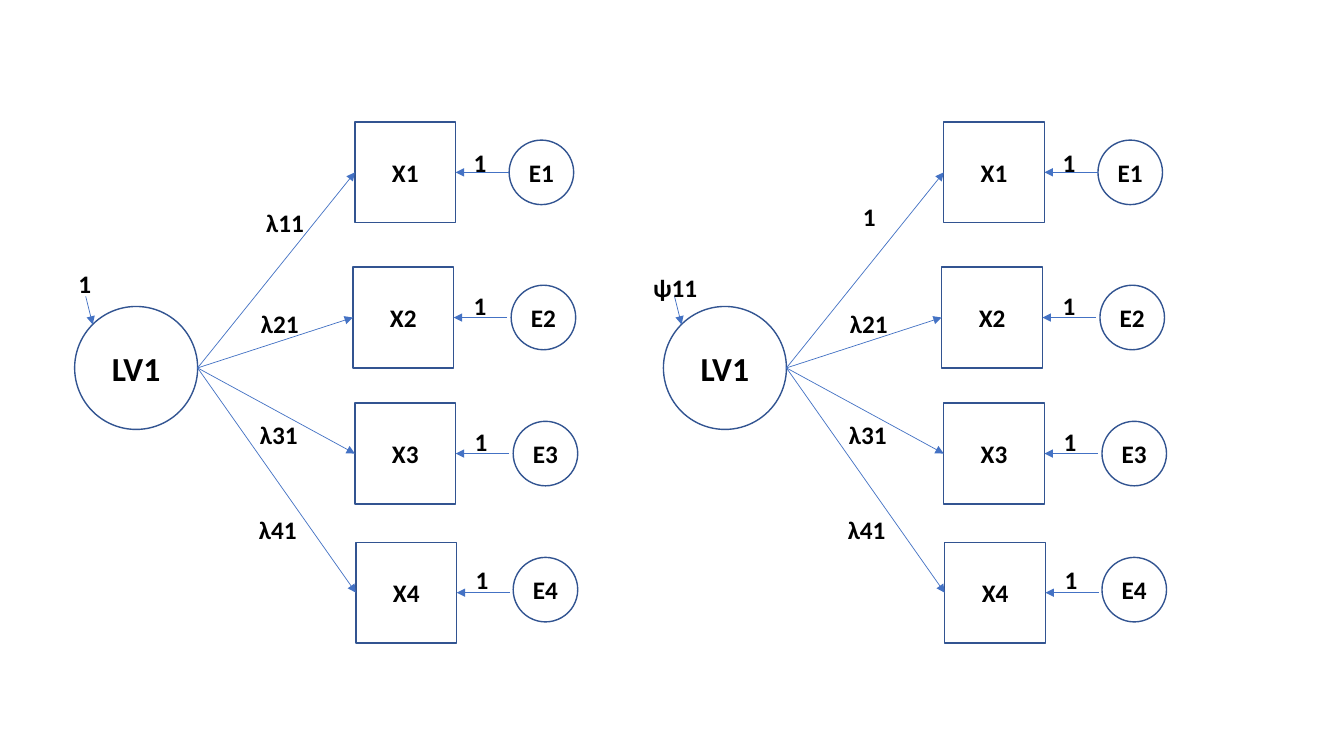
from pptx import Presentation
from pptx.dml.color import RGBColor
from pptx.enum.shapes import MSO_CONNECTOR as CONN, MSO_SHAPE as SHAPE
from pptx.enum.text import MSO_ANCHOR as ANCHOR, MSO_AUTO_SIZE as AUTO, PP_ALIGN as ALIGN
from pptx.oxml.ns import qn
from pptx.util import Inches, Pt
from lxml.etree import SubElement

COLORS = {"fill": "FFFFFF", "outline": "325491", "arrow": "4472C4", "text": "000000"}
FONT = "Calibri"
BOX, ERROR, LATENT = 1, 0.64, 1.22
LATENT_AT = (0.74, 3.04)
ARROW_LEN = 0.53
# box left, box top, error left, error top, loading label at, error weight at
ROWS = [
    (3.52, 1.21, 5.05, 1.39, (2.54, 2.01), (4.6, 1.41)),
    (3.5, 2.65, 5.07, 2.83, (2.49, 3.01), (4.6, 2.83)),
    (3.52, 4, 5.09, 4.18, (2.48, 4.11), (4.61, 4.18)),
    (3.53, 5.38, 5.09, 5.53, (2.47, 5.05), (4.62, 5.55)),
]


def rgb(name):
    """Return the named palette colour."""
    return RGBColor.from_string(COLORS[name])


def write(tf, text, size=18, bold=True, color="text", align=ALIGN.LEFT):
    """Write one formatted run into a text frame."""
    p = tf.paragraphs[0]
    p.alignment = align
    r = p.add_run()
    r.text = text
    r.font.name, r.font.size, r.font.bold = FONT, Pt(size), bold
    r.font.color.rgb = rgb(color)


class Diagram:
    """Draw path diagram elements on one slide, shifted right by dx inches."""

    def __init__(self, s, dx=0):
        """Keep the slide and the shift."""
        self.s, self.dx = s, dx

    def node(self, kind, x, y, size, text, font_size=18):
        """Add an outlined square or circle with centred text."""
        sp = self.s.shapes.add_shape(
            kind, Inches(x + self.dx), Inches(y), Inches(size), Inches(size))
        sp.shadow.inherit = False
        sp.fill.solid()
        sp.fill.fore_color.rgb = rgb("fill")
        sp.line.color.rgb = rgb("outline")
        sp.line.width = Pt(1)
        tf = sp.text_frame
        tf.margin_left = tf.margin_right = 0
        tf.vertical_anchor = ANCHOR.MIDDLE
        write(tf, text, size=font_size, align=ALIGN.CENTER)
        return sp

    def label(self, x, y, text, width=0.33):
        """Add an unwrapped text label."""
        sp = self.s.shapes.add_textbox(
            Inches(x + self.dx), Inches(y), Inches(width), Inches(0.4))
        tf = sp.text_frame
        tf.word_wrap = False
        tf.auto_size = AUTO.SHAPE_TO_FIT_TEXT
        write(tf, text)

    def arrow(self, x1, y1, x2, y2, target=None, side=0):
        """Add a thin arrow, joined to a side of the target if one is given."""
        c = self.s.shapes.add_connector(
            CONN.STRAIGHT, Inches(x1 + self.dx), Inches(y1),
            Inches(x2 + self.dx), Inches(y2))
        c.line.color.rgb = rgb("arrow")
        c.line.width = Pt(0.5)
        SubElement(c.line._get_or_add_ln(), qn("a:tailEnd"), type="triangle")
        SubElement(c._element.spPr, qn("a:effectLst"))
        if target is not None:
            c.end_connect(target, side)

    def model(self, variance, variance_at, variance_width, loadings):
        """Draw a one-factor model with four indicators."""
        lx, ly = LATENT_AT
        self.node(SHAPE.OVAL, lx, ly, LATENT, "LV1", font_size=24)
        for i, (row, loading) in enumerate(zip(ROWS, loadings), 1):
            bx, by, ex, ey, loading_at, weight_at = row
            mid, right = by + BOX / 2, bx + BOX
            box = self.node(SHAPE.RECTANGLE, bx, by, BOX, f"X{i}")
            self.node(SHAPE.OVAL, ex, ey, ERROR, f"E{i}")
            self.arrow(lx + LATENT, ly + LATENT / 2, bx, mid, box, 1)
            self.arrow(right + ARROW_LEN, mid, right, mid, box, 3)
            text, width, (shift_x, shift_y) = loading
            self.label(loading_at[0] + shift_x, loading_at[1] + shift_y, text, width)
            self.label(*weight_at, "1")
        self.arrow(0.85, 2.94, 0.92, 3.22)
        self.label(*variance_at, variance, variance_width)


def main():
    """Build the slide with the two ways of scaling a latent variable."""
    prs = Presentation()
    prs.slide_width, prs.slide_height = Inches(13.33), Inches(7.5)
    s = prs.slides.add_slide(prs.slide_layouts[6])
    free = [(f"λ{i}1", 0.58, (0, 0)) for i in range(1, 5)]
    fixed = [("1", 0.33, (0.08, -0.06))] + free[1:]
    Diagram(s).model("1", (0.68, 2.61), 0.33, free)
    Diagram(s, dx=5.84).model("ψ11", (0.54, 2.65), 0.64, fixed)
    prs.save("out.pptx")


if __name__ == "__main__":
    main()
